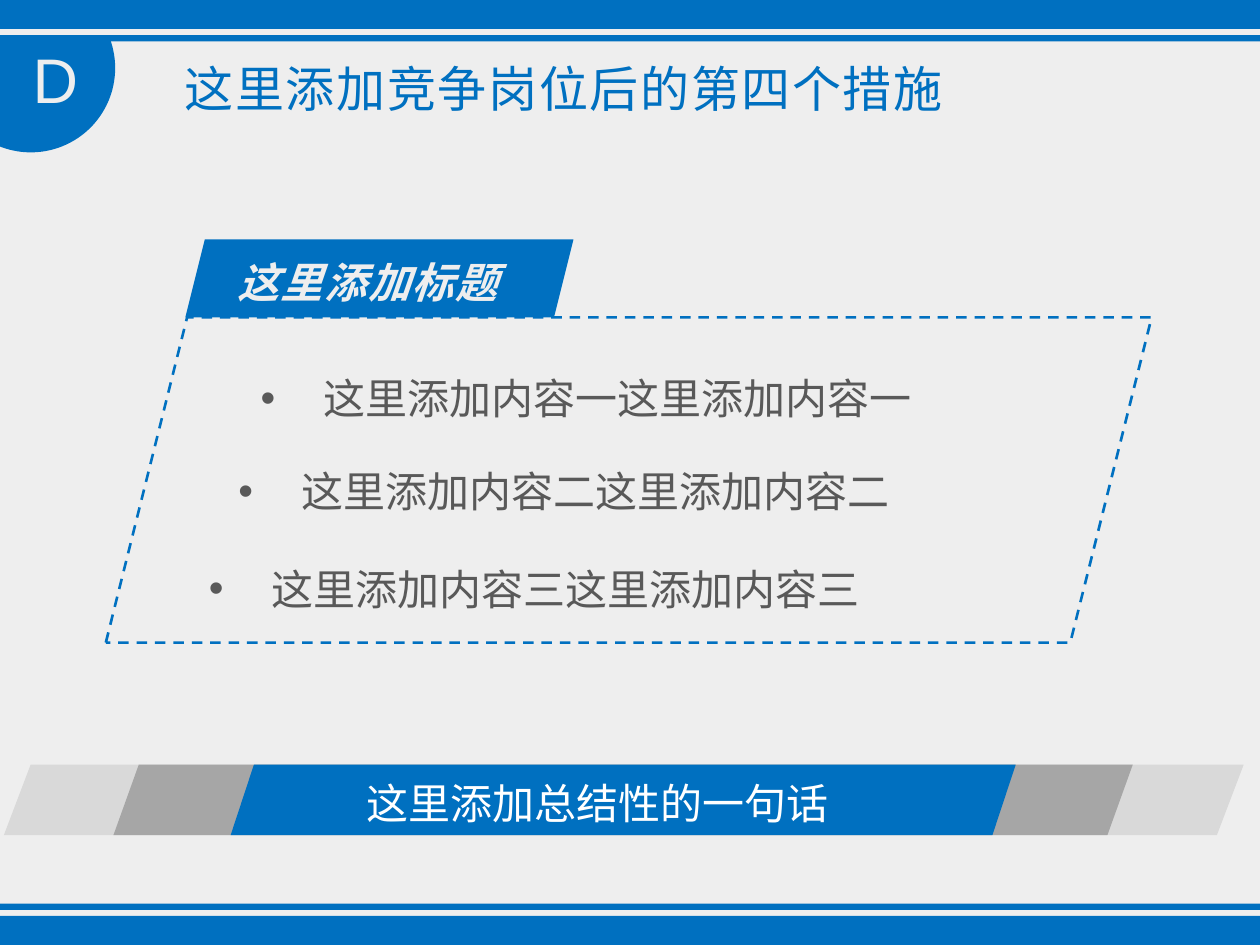
import math
from lxml import etree
from pptx import Presentation
from pptx.dml.color import RGBColor
from pptx.enum.dml import MSO_LINE
from pptx.enum.shapes import MSO_SHAPE
from pptx.enum.text import MSO_ANCHOR, MSO_AUTO_SIZE, PP_ALIGN
from pptx.oxml.ns import qn
from pptx.util import Pt

RECTANGLE = MSO_SHAPE.RECTANGLE
PARALLELOGRAM = MSO_SHAPE.PARALLELOGRAM
DASH = MSO_LINE.DASH
TOP = MSO_ANCHOR.TOP
FIT = MSO_AUTO_SIZE.SHAPE_TO_FIT_TEXT
JUSTIFY, LEFT = PP_ALIGN.JUSTIFY, PP_ALIGN.LEFT

WIDTH, HEIGHT = 720, 540
CHINESE, LATIN = "Noto Sans CJK SC", "Arial"
COLORS = {
    "blue": "0070C0",
    "background": "EEEEEE",
    "white": "FFFFFF",
    "text": "595959",
    "gray": "A6A6A6",
    "light": "D9D9D9",
}


def color(name):
    return RGBColor.from_string(COLORS[name])


def set_values(target, values):
    for name, value in values.items():
        setattr(target, name, value)


def paint(shape, fill):
    shape.shadow.inherit = False
    shape.fill.solid()
    shape.fill.fore_color.rgb = color(fill)
    shape.line.fill.background()


def add_block(slide, kind, box, fill, slant=None):
    shape = slide.shapes.add_shape(kind, *map(Pt, box))
    paint(shape, fill)
    if slant is not None:
        shape.adjustments[0] = slant
    return shape


def write_text(shape, text, ink, size=24, font=CHINESE, wrap=True, align=LEFT,
               line_spacing=None, margin=0, indent=0, bullet=None, tracking=0, **style):
    frame = shape.text_frame
    set_values(frame, {"word_wrap": wrap, "auto_size": FIT, "vertical_anchor": TOP})
    paragraph = frame.paragraphs[0]
    set_values(paragraph, {"alignment": align, "line_spacing": line_spacing})
    properties = paragraph._p.get_or_add_pPr()
    properties.set("marL", str(Pt(margin)))
    properties.set("indent", str(Pt(indent)))
    if bullet:
        etree.SubElement(properties, qn("a:buFont")).set("typeface", LATIN)
        etree.SubElement(properties, qn("a:buChar")).set("char", bullet)
    run = paragraph.add_run()
    run.text = text
    set_values(run.font, {"name": font, "size": Pt(size), **style})
    run.font.color.rgb = color(ink)
    run_properties = run._r.get_or_add_rPr()
    etree.SubElement(run_properties, qn("a:ea")).set("typeface", font)
    if tracking:
        run_properties.set("spc", str(tracking * 100))


def add_label(slide, box, text, ink, **values):
    write_text(slide.shapes.add_textbox(*map(Pt, box)), text, ink, **values)


def add_edge_bands(slide, width, height):
    thick, thin, inset = 16.6, 3.6, 20
    for top, band in ((0, thick), (inset, thin),
                      (height - inset - thin, thin), (height - thick, thick)):
        add_block(slide, RECTANGLE, (0, top, width, band), "blue")


def add_title(slide, left, top, width, height):
    title = slide.shapes.title
    set_values(title, {"left": Pt(left), "top": Pt(top),
                       "width": Pt(width), "height": Pt(height)})
    write_text(title, "这里添加竞争岗位后的第四个措施", "blue", size=28,
               align=JUSTIFY, line_spacing=1.25, indent=58, tracking=1)


def add_badge(slide, center_x, center_y, radius, cut_y):
    start = math.asin((cut_y - center_y) / radius)
    sweep = math.pi - 2 * start
    steps = 90
    angles = [start + sweep * step / steps for step in range(steps + 1)]
    points = [(Pt(center_x + radius * math.cos(angle)),
               Pt(center_y + radius * math.sin(angle))) for angle in angles]
    builder = slide.shapes.build_freeform(*points[0])
    builder.add_line_segments(points[1:], close=True)
    paint(builder.convert_to_shape(), "blue")
    add_label(slide, (center_x - 6.1, center_y - 19.4, 41.8, 51), "D", "background",
              size=36, font=LATIN, wrap=False)


def add_content_panel(slide, left, top, width, height):
    outline = add_block(slide, PARALLELOGRAM, (left, top, width, height), "background")
    outline.fill.background()
    outline.line.color.rgb = color("blue")
    set_values(outline.line, {"width": Pt(1.5), "dash_style": DASH})

    tab_height = 44.6
    add_block(slide, PARALLELOGRAM,
              (left + 45.4, top - tab_height, 221.8, tab_height), "blue")
    add_label(slide, (left + 43.9, top - 45.4, 190, 40.3), "这里添加标题", "background",
              wrap=False, align=JUSTIFY, line_spacing=1.25, indent=24, tracking=1,
              bold=True, italic=True)

    items = (("一", 81.4, 16.6), ("二", 68.6, 69.8), ("三", 51.8, 125.3))
    for number, offset_x, offset_y in items:
        add_label(slide, (left + offset_x, top + offset_y, 410, 44),
                  f"这里添加内容{number}" * 2, "text", align=JUSTIFY,
                  line_spacing=1.4, margin=36, indent=-36, bullet="•")


def add_summary_bar(slide, left, top, width, height):
    layers = (("light", 0, width, 0.38), ("gray", 62.6, 582.5, 0.36),
              ("blue", 129.6, 448.6, 0.33))
    for fill, offset, layer_width, slant in layers:
        add_block(slide, PARALLELOGRAM, (left + offset, top, layer_width, height),
                  fill, slant)
    add_label(slide, (left + 200.2, top + 3.6, 280.8, 36), "这里添加总结性的一句话",
              "white", wrap=False)


def main():
    presentation = Presentation()
    set_values(presentation, {"slide_width": Pt(WIDTH), "slide_height": Pt(HEIGHT)})
    slide = presentation.slides.add_slide(presentation.slide_layouts[5])
    slide.background.fill.solid()
    slide.background.fill.fore_color.rgb = color("background")

    add_edge_bands(slide, WIDTH, HEIGHT)
    add_title(slide, 40.3, 21.6, 614.2, 47.5)
    add_badge(slide, 17.6, 38.9, 48.2, 23)
    add_summary_bar(slide, 2.2, 437, 708.5, 40.3)
    add_content_panel(slide, 60.5, 181.4, 597.6, 185.8)
    presentation.save("out.pptx")


if __name__ == "__main__":
    main()
